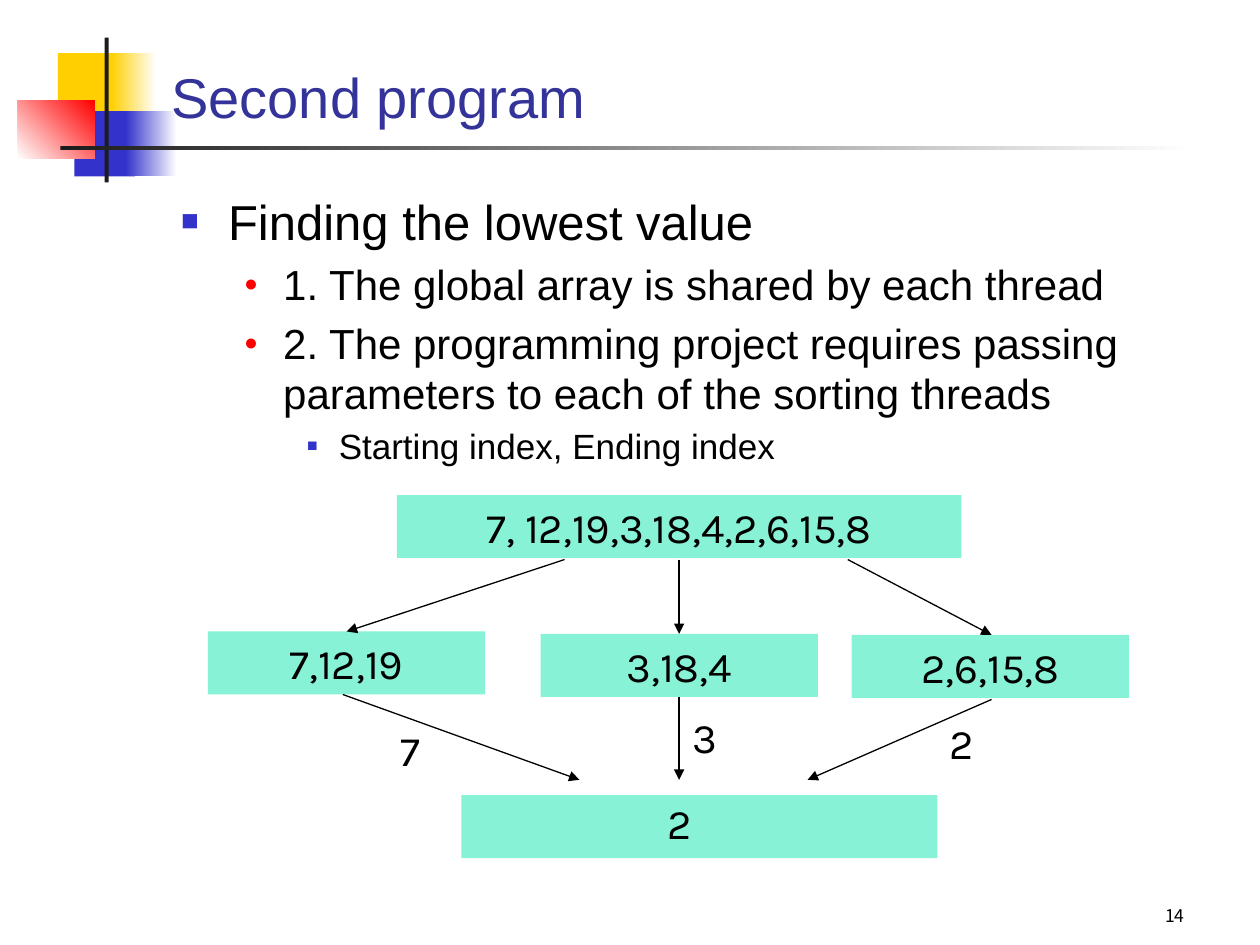
from lxml.etree import SubElement
from pptx import Presentation
from pptx.dml.color import RGBColor
from pptx.enum.shapes import MSO_CONNECTOR, MSO_SHAPE
from pptx.enum.text import MSO_ANCHOR, MSO_AUTO_SIZE, PP_ALIGN
from pptx.oxml.ns import qn
from pptx.util import Cm, Pt

COLORS = {
    "yellow": "FFCF01", "blue": "3333CC", "red": "FF0000", "white": "FFFFFF",
    "dark": "1C1C1C", "title": "333399", "black": "000000", "mint": "00E4A8",
}


def add_box(left, top, width, height, start, end=None, angle=0):
    """Add a borderless rectangle with a solid or two-colour gradient fill."""
    shape = slide.shapes.add_shape(
        MSO_SHAPE.RECTANGLE, Cm(left), Cm(top), Cm(width), Cm(height))
    shape.shadow.inherit = False
    shape.line.fill.background()
    if end is None:
        shape.fill.solid()
        shape.fill.fore_color.rgb = RGBColor.from_string(COLORS[start])
    else:
        shape.fill.gradient()
        shape.fill.gradient_angle = angle
        for stop, name, position in zip(shape.fill.gradient_stops, (start, end), (0, 1)):
            stop.color.rgb = RGBColor.from_string(COLORS[name])
            stop.position = position
    return shape


def write(paragraph, text, size, font="Karla", color="black", align=PP_ALIGN.LEFT):
    """Put formatted text into a paragraph."""
    paragraph.text = text
    paragraph.alignment = align
    paragraph.font.size = Pt(size)
    paragraph.font.name = font
    paragraph.font.color.rgb = RGBColor.from_string(COLORS[color])


presentation = Presentation()
presentation.slide_width, presentation.slide_height = Cm(25.4), Cm(19.05)
slide = presentation.slides.add_slide(presentation.slide_layouts[5])

# Corner ornament and title rule
for ornament in [
    (1.17, 1.07, 1.22, 1.32, "yellow"),
    (2.24, 1.07, 0.91, 1.32, "yellow", "white"),
    (1.5, 2.24, 1.22, 1.32, "blue"),
    (2.54, 2.24, 1.02, 1.32, "blue", "white"),
    (0.36, 2.03, 1.55, 1.17, "white", "red", 45),
    (2.11, 0.76, 0.08, 2.92, "dark"),
    (1.22, 2.95, 22.86, 0.08, "dark", "white"),
]:
    add_box(*ornament)

# Title, raised above the ornament
title = slide.shapes.title
title.left, title.top, title.width, title.height = Cm(3.2), Cm(0.53), Cm(21.64), Cm(2.21)
title.text_frame.vertical_anchor = MSO_ANCHOR.BOTTOM
title.text_frame.auto_size = MSO_AUTO_SIZE.NONE
write(title.text_frame.paragraphs[0], "Second program", 32, "Arial", "title")
slide.shapes._spTree.append(title._element)

# Bulleted text: size, indent and hanging in cm, bullet, its colour and percentage
LEVELS = [
    (28, 0.95, 0.95, "■", "blue", 60),
    (24, 2.06, 0.79, "●", "red", 55),
    (20, 3.18, 0.64, "■", "blue", 50),
]
body = slide.shapes.add_textbox(Cm(3.4), Cm(3.73), Cm(21.59), Cm(13.79)).text_frame
body.word_wrap = True
for index, (level, text) in enumerate([
    (0, "Finding the lowest value"),
    (1, "1. The global array is shared by each thread"),
    (1, "2. The programming project requires passing parameters "
        "to each of the sorting threads"),
    (2, "Starting index, Ending index"),
]):
    size, indent, hanging, bullet, bullet_color, percent = LEVELS[level]
    paragraph = body.add_paragraph() if index else body.paragraphs[0]
    paragraph.level = level
    paragraph.space_before = Pt(size * 0.2)
    properties = paragraph._p.get_or_add_pPr()
    properties.set("marL", str(Cm(indent)))
    properties.set("indent", str(-Cm(hanging)))
    color_element = SubElement(properties, qn("a:buClr"))
    SubElement(color_element, qn("a:srgbClr"), val=COLORS[bullet_color])
    SubElement(properties, qn("a:buSzPct"), val=str(percent * 1000))
    SubElement(properties, qn("a:buFont"), typeface="Arial")
    SubElement(properties, qn("a:buChar"), char=bullet)
    write(paragraph, text, size, "Arial")

# Slide number
number = slide.shapes.add_textbox(Cm(18.85), Cm(17.93), Cm(5.28), Cm(0.86)).text_frame
number.word_wrap = True
number.vertical_anchor = MSO_ANCHOR.BOTTOM
write(number.paragraphs[0], "14", 10, "Noto Sans CJK KR", align=PP_ALIGN.RIGHT)

# Array boxes
for left, top, width, text in [
    (8, 9.98, 11.38, "7, 12,19,3,18,4,2,6,15,8"),
    (4.19, 12.73, 5.59, "7,12,19"),
    (10.9, 12.78, 5.59, "3,18,4"),
    (17.17, 12.8, 5.59, "2,6,15,8"),
    (9.3, 16.03, 9.6, ""),
]:
    box = add_box(left, top, width, 1.27, "mint")
    color_element = box._element.spPr.find(qn("a:solidFill"))[0]
    SubElement(color_element, qn("a:alpha"), val="47000")
    if text:
        write(box.text_frame.paragraphs[0], text, 24, align=PP_ALIGN.CENTER)

# Arrows from the whole array to its parts, and from the parts to the result
SPLIT_TOP, MERGE_BOTTOM = 11.28, 15.72
for start_x, start_y, end_x, end_y in [
    (11.38, SPLIT_TOP, 6.99, 12.73),
    (13.69, SPLIT_TOP, 13.69, 12.78),
    (17.09, SPLIT_TOP, 19.99, 12.8),
    (6.91, 14, 11.68, MERGE_BOTTOM),
    (13.69, 14.05, 13.69, MERGE_BOTTOM),
    (19.99, 14.1, 16.28, MERGE_BOTTOM),
]:
    arrow = slide.shapes.add_connector(
        MSO_CONNECTOR.STRAIGHT, Cm(start_x), Cm(start_y), Cm(end_x), Cm(end_y))
    arrow.line.width = Pt(0.75)
    arrow.line.color.rgb = RGBColor.from_string(COLORS["black"])
    SubElement(arrow.line._get_or_add_ln(), qn("a:tailEnd"), type="triangle")
    SubElement(arrow._element.spPr, qn("a:effectLst"))

# Lowest value of each part, then of the whole
for left, top, text in [
    (7.82, 14.48, "7"), (13.72, 14.22, "3"), (18.9, 14.33, "2"), (13.21, 15.95, "2"),
]:
    label = slide.shapes.add_textbox(Cm(left), Cm(top), Cm(0.99), Cm(1.27)).text_frame
    label.word_wrap = False
    write(label.paragraphs[0], text, 24)

presentation.save("out.pptx")
